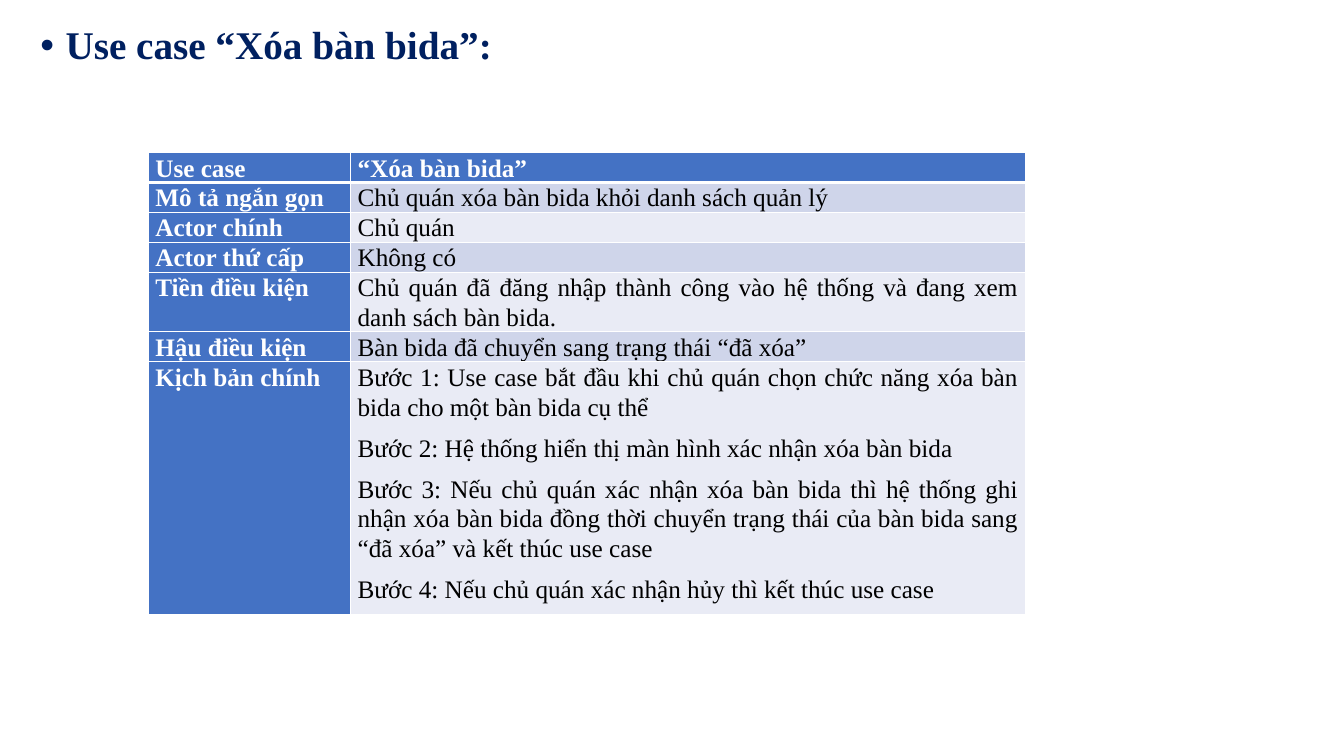
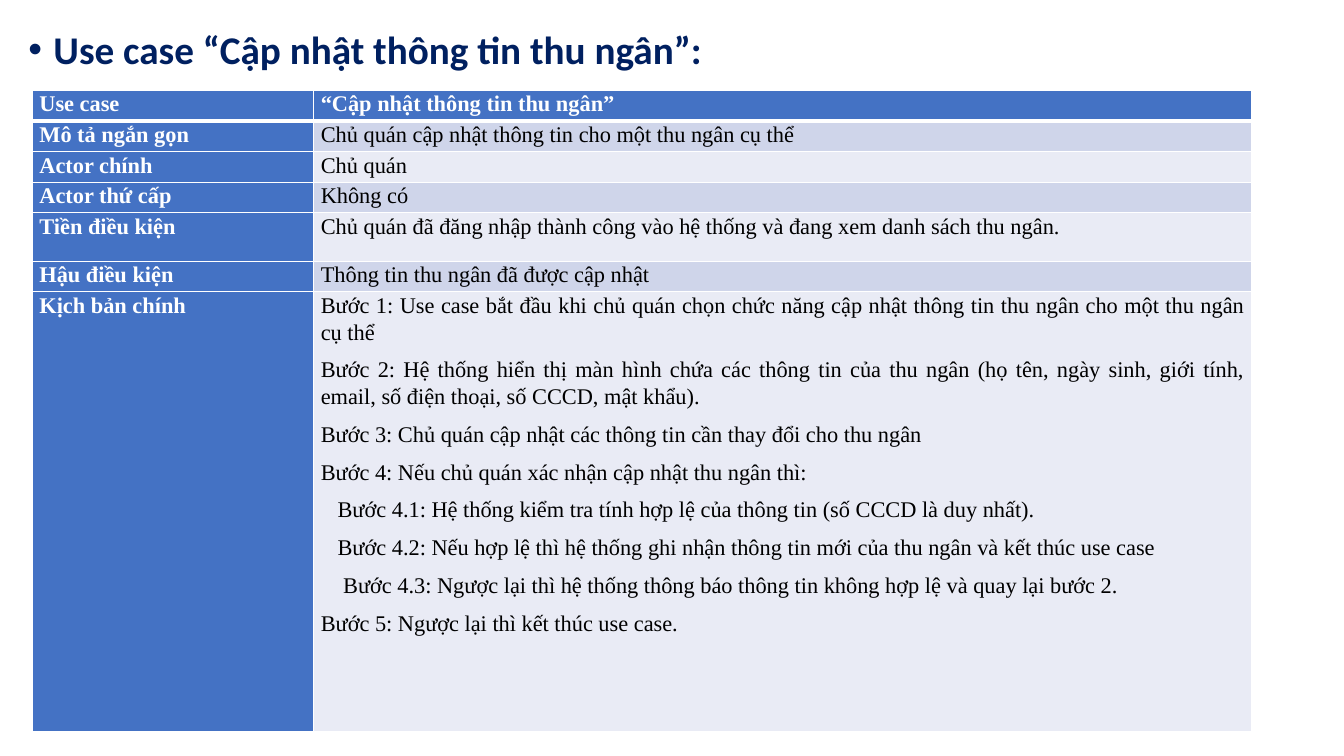
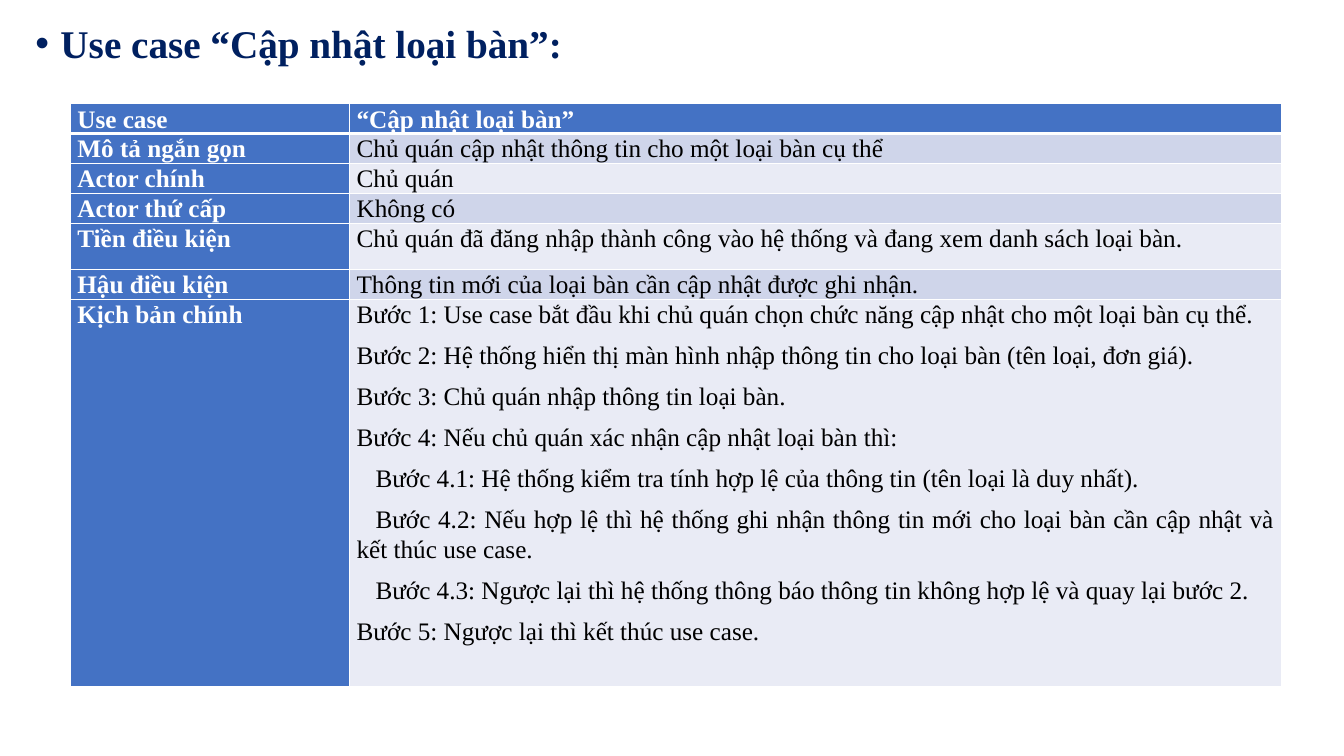
from pptx import Presentation
from pptx.dml.color import RGBColor
from pptx.enum.text import MSO_ANCHOR as Anchor, MSO_AUTO_SIZE as AutoSize, PP_ALIGN as Align
from pptx.oxml import parse_xml
from pptx.oxml.ns import nsdecls
from pptx.util import Pt

TIMES = "Times New Roman"
LABELS = ["Use case", "Mô tả ngắn gọn", "Actor chính", "Actor thứ cấp",
          "Tiền điều kiện", "Hậu điều kiện", "Kịch bản chính"]


def rgb(value):
    """Turn a hex string into a colour."""
    return RGBColor.from_string(value)


def write(p, text, size=18, font=TIMES, color="000000", bold=False,
          align=Align.JUSTIFY, line=1.07, after=8, indent=0):
    """Put formatted text into a paragraph."""
    p.alignment, p.line_spacing, p.space_after = align, line, Pt(after)
    if indent:
        p._p.get_or_add_pPr().set("indent", str(Pt(indent)))
    r = p.add_run()
    r.text = text
    r.font.name, r.font.size, r.font.bold = font, Pt(size), bold
    r.font.color.rgb = rgb(color)


class Deck:
    """Hold the shared style and the current slide."""

    navy, blue, white = "002060", "4472C4", "FFFFFF"
    bands = ("E9EBF5", "CFD5EA")

    def __init__(self):
        """Start a widescreen presentation."""
        self.prs = Presentation()
        self.prs.slide_width, self.prs.slide_height = Pt(960), Pt(540)

    def slide(self, title, left, top, font=TIMES):
        """Add a slide with a bulleted title."""
        self.s = self.prs.slides.add_slide(self.prs.slide_layouts[5])
        sp = self.s.shapes.title
        sp.left, sp.top, sp.width, sp.height = Pt(left), Pt(top), Pt(871), Pt(40)
        tf = sp.text_frame
        tf.auto_size, tf.word_wrap, tf.vertical_anchor = AutoSize.NONE, True, Anchor.TOP
        p = tf.paragraphs[0]
        write(p, title, size=28, font=font, color=self.navy, bold=True,
              align=Align.LEFT, line=0.9, after=0, indent=-18)
        pPr = p._p.get_or_add_pPr()
        pPr.set("marL", str(Pt(18)))
        for tag in (f'<a:buFont {nsdecls("a")} typeface="Arial"/>',
                    f'<a:buChar {nsdecls("a")} char="•"/>'):
            pPr.append(parse_xml(tag))

    def border(self, cell, row):
        """Draw white cell borders, thick under the header."""
        tcPr = cell._tc.get_or_add_tcPr()
        for side in "LRTB":
            width = 3 if (row, side) in ((0, "B"), (1, "T")) else 1
            tcPr.append(parse_xml(
                f'<a:ln{side} {nsdecls("a")} w="{Pt(width)}"><a:solidFill>'
                f'<a:srgbClr val="{self.white}"/></a:solidFill></a:ln{side}>'))

    def cell(self, cell, row, head, paragraphs, size):
        """Fill and write one table cell."""
        self.border(cell, row)
        cell.fill.solid()
        cell.fill.fore_color.rgb = rgb(self.blue if head else self.bands[row % 2])
        cell.margin_left = cell.margin_right = Pt(5)
        cell.margin_top = cell.margin_bottom = 0
        tf = cell.text_frame
        for i, text in enumerate(paragraphs):
            p = tf.add_paragraph() if i else tf.paragraphs[0]
            spaces, text = text if isinstance(text, tuple) else (0, text)
            write(p, text, size=size, color=self.white if head else "000000",
                  bold=head, indent=spaces * size / 4)

    def table(self, left, top, cols, rows, values, size=18):
        """Add a use case table; rows gives plain, condition and scenario heights."""
        plain, condition, scenario = rows
        heights = [plain] * 4 + [condition, plain, scenario]
        table = self.s.shapes.add_table(len(LABELS), 2, Pt(left), Pt(top),
                                        Pt(sum(cols)), Pt(sum(heights))).table
        for col, width in zip(table.columns, cols):
            col.width = Pt(width)
        for i, (label, value) in enumerate(zip(LABELS, values)):
            table.rows[i].height = Pt(heights[i])
            self.cell(table.cell(i, 0), i, True, [label], size)
            paragraphs = value if isinstance(value, list) else [value]
            self.cell(table.cell(i, 1), i, i == 0, paragraphs, size)


def main():
    """Build the three use case slides."""
    deck = Deck()

    deck.slide("Use case “Xóa bàn bida”:", 21.6, 15)
    deck.table(106, 109, (144.5, 482), (20.2, 41.8, 180.7), [
        "“Xóa bàn bida”",
        "Chủ quán xóa bàn bida khỏi danh sách quản lý",
        "Chủ quán",
        "Không có",
        "Chủ quán đã đăng nhập thành công vào hệ thống và đang xem danh sách bàn bida.",
        "Bàn bida đã chuyển sang trạng thái “đã xóa”",
        ["Bước 1: Use case bắt đầu khi chủ quán chọn chức năng xóa bàn bida cho một bàn bida cụ thể",
         "Bước 2: Hệ thống hiển thị màn hình xác nhận xóa bàn bida",
         "Bước 3: Nếu chủ quán xác nhận xóa bàn bida thì hệ thống ghi nhận xóa bàn bida "
         "đồng thời chuyển trạng thái của bàn bida sang “đã xóa” và kết thúc use case",
         "Bước 4: Nếu chủ quán xác nhận hủy thì kết thúc use case"],
    ])

    deck.slide("Use case “Cập nhật thông tin thu ngân”:", 13, 18, font="Calibri")
    deck.table(23.2, 64.5, (201, 670), (21.9, 34.6, 314), [
        "“Cập nhật thông tin thu ngân”",
        "Chủ quán cập nhật thông tin cho một thu ngân cụ thể",
        "Chủ quán",
        "Không có",
        "Chủ quán đã đăng nhập thành công vào hệ thống và đang xem danh sách thu ngân.",
        "Thông tin thu ngân đã được cập nhật",
        ["Bước 1: Use case bắt đầu khi chủ quán chọn chức năng cập nhật thông tin thu ngân "
         "cho một thu ngân cụ thể",
         "Bước 2: Hệ thống hiển thị màn hình chứa các thông tin của thu ngân (họ tên, ngày sinh, "
         "giới tính, email, số điện thoại, số CCCD, mật khẩu).",
         "Bước 3: Chủ quán cập nhật các thông tin cần thay đổi cho thu ngân",
         "Bước 4: Nếu chủ quán xác nhận cập nhật thu ngân thì:",
         (3, "Bước 4.1: Hệ thống kiểm tra tính hợp lệ của thông tin (số CCCD là duy nhất)."),
         (3, "Bước 4.2: Nếu hợp lệ thì hệ thống ghi nhận thông tin mới của thu ngân "
             "và kết thúc use case"),
         (4, "Bước 4.3: Ngược lại thì hệ thống thông báo thông tin không hợp lệ "
             "và quay lại bước 2."),
         "Bước 5: Ngược lại thì kết thúc use case."],
    ], size=16)

    deck.slide("Use case “Cập nhật loại bàn”:", 18, 14)
    deck.table(50.3, 74, (199.5, 665.5), (20.2, 33, 277), [
        "“Cập nhật loại bàn”",
        "Chủ quán cập nhật thông tin cho một loại bàn cụ thể",
        "Chủ quán",
        "Không có",
        "Chủ quán đã đăng nhập thành công vào hệ thống và đang xem danh sách loại bàn.",
        "Thông tin mới của loại bàn cần cập nhật được ghi nhận.",
        ["Bước 1: Use case bắt đầu khi chủ quán chọn chức năng cập nhật cho một loại bàn cụ thể.",
         "Bước 2: Hệ thống hiển thị màn hình nhập thông tin cho loại bàn (tên loại, đơn giá).",
         "Bước 3: Chủ quán nhập thông tin loại bàn.",
         "Bước 4: Nếu chủ quán xác nhận cập nhật loại bàn thì:",
         (3, "Bước 4.1: Hệ thống kiểm tra tính hợp lệ của thông tin (tên loại là duy nhất)."),
         (3, "Bước 4.2: Nếu hợp lệ thì hệ thống ghi nhận thông tin mới cho loại bàn cần cập nhật "
             "và kết thúc use case."),
         (3, "Bước 4.3: Ngược lại thì hệ thống thông báo thông tin không hợp lệ "
             "và quay lại bước 2."),
         "Bước 5: Ngược lại thì kết thúc use case."],
    ])

    deck.prs.save("out.pptx")


if __name__ == "__main__":
    main()
